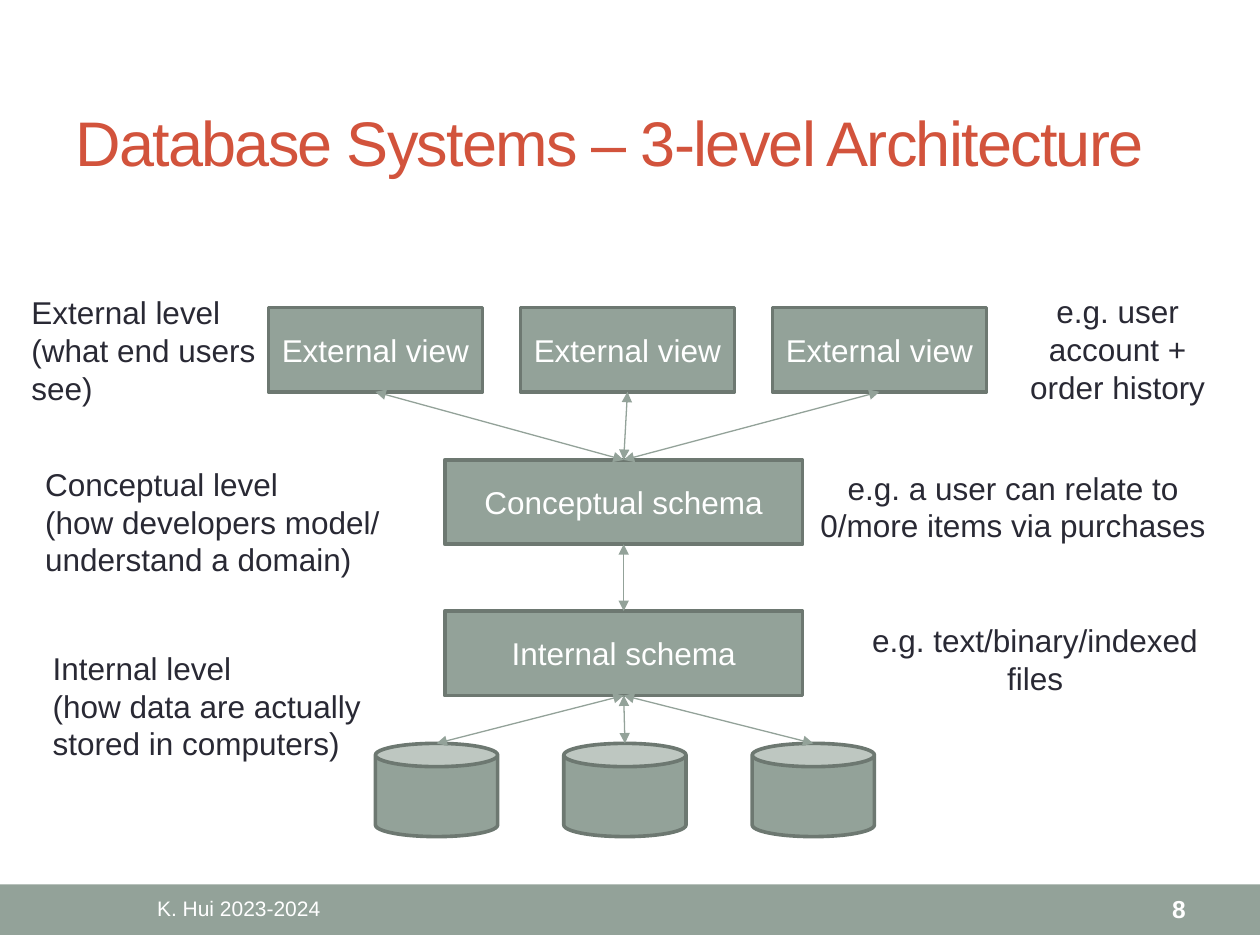
import pptx
import pptx.util
import pptx.dml.color
import pptx.enum.shapes
import pptx.enum.text
import lxml.etree
from dataclasses import dataclass

Inches = pptx.util.Inches
Pt = pptx.util.Pt
Shape = pptx.enum.shapes.MSO_SHAPE
Align = pptx.enum.text.PP_ALIGN
Anchor = pptx.enum.text.MSO_ANCHOR


@dataclass(frozen=True)
class Theme:
    font: str = "Arial"
    title: str = "D2533C"
    ink: str = "292934"
    sage: str = "93A299"
    edge: str = "6D7871"
    white: str = "FFFFFF"
    title_size: int = 36
    body_size: int = 18
    number_size: int = 14
    footer_size: int = 12


theme = Theme()
color = pptx.dml.color.RGBColor.from_string


def write(box, text, size=theme.body_size, ink=theme.ink, align=Align.LEFT,
          anchor=Anchor.TOP, bold=False, spacing=None):
    frame = box.text_frame
    frame.word_wrap = True
    frame.auto_size = pptx.enum.text.MSO_AUTO_SIZE.NONE
    frame.vertical_anchor = anchor
    frame.text = text
    for para in frame.paragraphs:
        para.alignment = align
        for span in para.runs:
            span.font.name = theme.font
            span.font.size = Pt(size)
            span.font.bold = bold
            span.font.color.rgb = color(ink)
            if spacing is not None:
                span.font._element.set("spc", str(spacing))


def add_block(page, kind, left, top, width, height, edge=theme.edge):
    block = page.shapes.add_shape(
        kind, Inches(left), Inches(top), Inches(width), Inches(height))
    block.shadow.inherit = False
    block.fill.solid()
    block.fill.fore_color.rgb = color(theme.sage)
    if edge:
        block.line.color.rgb = color(edge)
        block.line.width = Pt(2.08)
    else:
        block.line.fill.background()
    return block


deck = pptx.Presentation()
deck.slide_width, deck.slide_height = Inches(10), Inches(7.5)
page = deck.slides.add_slide(deck.slide_layouts[5])

# Footer band
add_block(page, Shape.RECTANGLE, 0, 7.02, 10, 0.4, edge=None)

# Title
title = page.shapes.title
title.left, title.top = Inches(0.5), Inches(0.58)
title.width, title.height = Inches(9), Inches(1.08)
write(title, "Database Systems – 3-level Architecture", size=theme.title_size,
      ink=theme.title, anchor=Anchor.MIDDLE, spacing=-100)

# Schema and view boxes
center = 4.95
box_height = 0.67
view_top, concept_top, internal_top, store_top = 2.44, 3.65, 4.85, 5.9
view_width, schema_width, store_width = 1.7, 2.84, 0.97
view_lefts = [2.13 + 2 * i for i in range(3)]
store_lefts = [2.98 + 1.495 * i for i in range(3)]

boxes = [(left, view_top, view_width, "External view") for left in view_lefts]
boxes += [
    (center - schema_width / 2, concept_top, schema_width, "Conceptual schema"),
    (center - schema_width / 2, internal_top, schema_width, "Internal schema"),
]
for left, top, width, text in boxes:
    box = add_block(page, Shape.RECTANGLE, left, top, width, box_height)
    write(box, text, ink=theme.white, align=Align.CENTER, anchor=Anchor.MIDDLE)

# Data stores
for left in store_lefts:
    add_block(page, Shape.CAN, left, store_top, store_width, 0.74)

# Two-way arrows between the levels
arrows = [(left + view_width / 2, view_top + box_height, center, concept_top)
          for left in view_lefts]
arrows.append((center, concept_top + box_height, center, internal_top))
arrows += [(center, internal_top + box_height, left + store_width / 2, store_top)
           for left in store_lefts]
for ends in arrows:
    arrow = page.shapes.add_connector(
        pptx.enum.shapes.MSO_CONNECTOR.STRAIGHT, *[Inches(end) for end in ends])
    arrow.line.color.rgb = color(theme.sage)
    arrow.line.width = Pt(0.75)
    line = arrow.line._get_or_add_ln()
    for end in ("headEnd", "tailEnd"):
        tip = lxml.etree.SubElement(line, pptx.oxml.ns.qn("a:" + end))
        tip.set("type", "triangle")
    lxml.etree.SubElement(arrow._element.spPr, pptx.oxml.ns.qn("a:effectLst"))

# Level descriptions, examples and footer text
level = {}
example = {"align": Align.CENTER}
footer = {"ink": theme.white, "anchor": Anchor.MIDDLE}
labels = [
    (0.15, 2.28, 2.01, 1.01, "External level\n(what end users see)", level),
    (0.26, 3.64, 3.54, 1.01,
     "Conceptual level\n(how developers model/ understand a domain)", level),
    (0.32, 5.1, 2.97, 1.01,
     "Internal level\n(how data are actually stored in computers)", level),
    (7.98, 2.27, 1.78, 1.01, "e.g. user account + order history", example),
    (6.32, 3.67, 3.44, 0.71,
     "e.g. a user can relate to 0/more items via purchases", example),
    (6.75, 4.88, 2.93, 0.71, "e.g. text/binary/indexed files", example),
    (0.5, 7.03, 2.79, 0.36, "K. Hui 2023-2024",
     {**footer, "size": theme.footer_size, "align": Align.CENTER}),
    (8.34, 7.03, 1.17, 0.36, "8",
     {**footer, "size": theme.number_size, "align": Align.RIGHT, "bold": True}),
]
for *place, text, style in labels:
    label = page.shapes.add_textbox(*[Inches(length) for length in place])
    write(label, text, **style)

deck.save("out.pptx")
